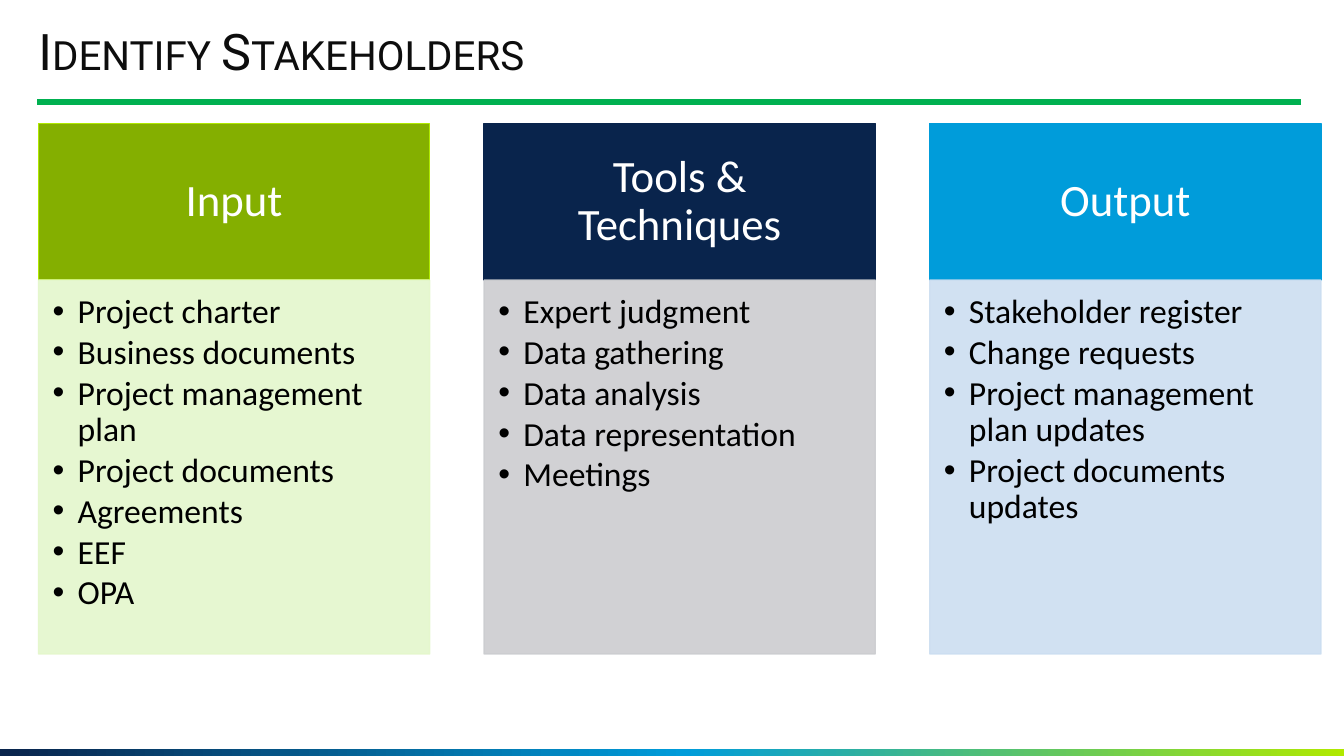
from copy import deepcopy

from lxml import etree
from pptx import Presentation
from pptx.dml.color import RGBColor
from pptx.enum.shapes import MSO_CONNECTOR, MSO_SHAPE
from pptx.enum.text import MSO_ANCHOR, PP_ALIGN
from pptx.oxml.ns import qn
from pptx.util import Cm, Pt

WHITE = RGBColor(0xFF, 0xFF, 0xFF)
BLACK = RGBColor(0, 0, 0)
TITLE_INK = RGBColor(0x0D, 0x0D, 0x0D)
RULE_GREEN = RGBColor(0x00, 0xB0, 0x50)
NAVY = RGBColor(0x09, 0x24, 0x4C)
BLUE = RGBColor(0x00, 0x9C, 0xDA)
LIME = RGBColor(0xB0, 0xE9, 0x00)
OLIVE = RGBColor(0x84, 0xAF, 0x00)
PALE_GREEN = RGBColor(0xE4, 0xF7, 0xCC)
PALE_GREY = RGBColor(0xCC, 0xCD, 0xD0)
PALE_BLUE = RGBColor(0xCC, 0xDE, 0xF1)

RECTANGLE = MSO_SHAPE.RECTANGLE
STRAIGHT = MSO_CONNECTOR.STRAIGHT
TOP, MIDDLE = MSO_ANCHOR.TOP, MSO_ANCHOR.MIDDLE
LEFT, CENTER = PP_ALIGN.LEFT, PP_ALIGN.CENTER

TITLE = "Identify Stakeholders"
# heading, header fill, header outline, body colour, items
COLUMNS = [
    ("Input", OLIVE, LIME, PALE_GREEN,
     ["Project charter", "Business documents", "Project management plan",
      "Project documents", "Agreements", "EEF", "OPA"]),
    ("Tools & Techniques", NAVY, NAVY, PALE_GREY,
     ["Expert judgment", "Data gathering", "Data analysis",
      "Data representation", "Meetings"]),
    ("Output", BLUE, BLUE, PALE_BLUE,
     ["Stakeholder register", "Change requests",
      "Project management plan updates", "Project documents updates"]),
]
FOOTER_STOPS = [(0, NAVY), (0.51, BLUE), (1, LIME)]

PAGE_WIDTH, PAGE_HEIGHT = 33.87, 19.05
FOOTER_HEIGHT = 0.18
COLUMN_LEFT, COLUMN_PITCH, COLUMN_WIDTH = 0.97, 11.23, 9.86
HEADER_TOP, HEADER_HEIGHT, BODY_HEIGHT = 3.12, 3.94, 9.42
BULLET_INDENT = 0.63


def add_rectangle(page, left, top, width, height):
    box = page.shapes.add_shape(RECTANGLE, Cm(left), Cm(top), Cm(width), Cm(height))
    box.shadow.inherit = False
    return box


def paint(box, fill, outline):
    box.fill.solid()
    box.fill.fore_color.rgb = fill
    box.line.color.rgb = outline
    box.line.width = Pt(1)


def set_opacity(box, percent):
    """Apply one opacity to the fill and the outline."""
    for color in box._element.spPr.iter(qn("a:srgbClr")):
        etree.SubElement(color, qn("a:alpha")).set("val", str(percent * 1000))


def set_frame(box, anchor, left, top, right, bottom):
    frame = box.text_frame
    frame.word_wrap = True
    frame.vertical_anchor = anchor
    frame.margin_left, frame.margin_top = Cm(left), Cm(top)
    frame.margin_right, frame.margin_bottom = Cm(right), Cm(bottom)
    return frame


def write(para, text, font, size, color, align=LEFT):
    para.alignment = align
    para.line_spacing = 0.9
    span = para.add_run()
    span.text = text
    span.font.name = font
    span.font.size = Pt(size)
    span.font.color.rgb = color
    return span


def add_bullet(para):
    para.level = 1
    properties = para._p.get_or_add_pPr()
    properties.set("marL", str(Cm(BULLET_INDENT)))
    properties.set("indent", str(-Cm(BULLET_INDENT)))
    etree.SubElement(properties, qn("a:buFont")).set("typeface", "Arial")
    etree.SubElement(properties, qn("a:buChar")).set("char", "•")


def add_footer(page):
    bar = add_rectangle(page, 0, PAGE_HEIGHT - FOOTER_HEIGHT, PAGE_WIDTH, FOOTER_HEIGHT)
    bar.line.fill.background()
    bar.fill.gradient()
    bar.fill.gradient_angle = 0
    stop_list = bar._element.spPr.find(".//" + qn("a:gsLst"))
    stop_list.append(deepcopy(stop_list[-1]))
    for stop, (position, color) in zip(bar.fill.gradient_stops, FOOTER_STOPS):
        stop.position = position
        stop.color.rgb = color


def add_title(page):
    rule = page.shapes.add_connector(STRAIGHT, Cm(0.94), Cm(2.57), Cm(32.79), Cm(2.57))
    rule.line.color.rgb = RULE_GREEN
    rule.line.width = Pt(4.5)
    etree.SubElement(rule._element.spPr, qn("a:effectLst"))
    box = page.shapes.add_textbox(Cm(COLUMN_LEFT), Cm(0.69), Cm(28.42), Cm(1.4))
    frame = set_frame(box, TOP, 0, 0, 0, 0)
    span = write(frame.paragraphs[0], TITLE, "Roboto", 36, TITLE_INK)
    span.font._element.set("cap", "small")


def add_column(page, left, heading, fill, outline, body_color, items):
    header = add_rectangle(page, left, HEADER_TOP, COLUMN_WIDTH, HEADER_HEIGHT)
    paint(header, fill, outline)
    frame = set_frame(header, MIDDLE, 0.63, 0.36, 0.63, 0.36)
    write(frame.paragraphs[0], heading, "Calibri", 32, WHITE, CENTER)

    body = add_rectangle(page, left, HEADER_TOP + HEADER_HEIGHT, COLUMN_WIDTH, BODY_HEIGHT)
    paint(body, body_color, body_color)
    set_opacity(body, 90)
    frame = set_frame(body, TOP, 0.36, 0.36, 0.48, 0.53)
    for index, item in enumerate(items):
        para = frame.add_paragraph() if index else frame.paragraphs[0]
        add_bullet(para)
        write(para, item, "Calibri", 24, BLACK)
        para.space_after = Pt(3.3)


def main():
    deck = Presentation()
    deck.slide_width, deck.slide_height = Cm(PAGE_WIDTH), Cm(PAGE_HEIGHT)
    page = deck.slides.add_slide(deck.slide_layouts[6])
    add_footer(page)
    add_title(page)
    for index, column in enumerate(COLUMNS):
        add_column(page, COLUMN_LEFT + index * COLUMN_PITCH, *column)
    deck.save("out.pptx")


if __name__ == "__main__":
    main()
